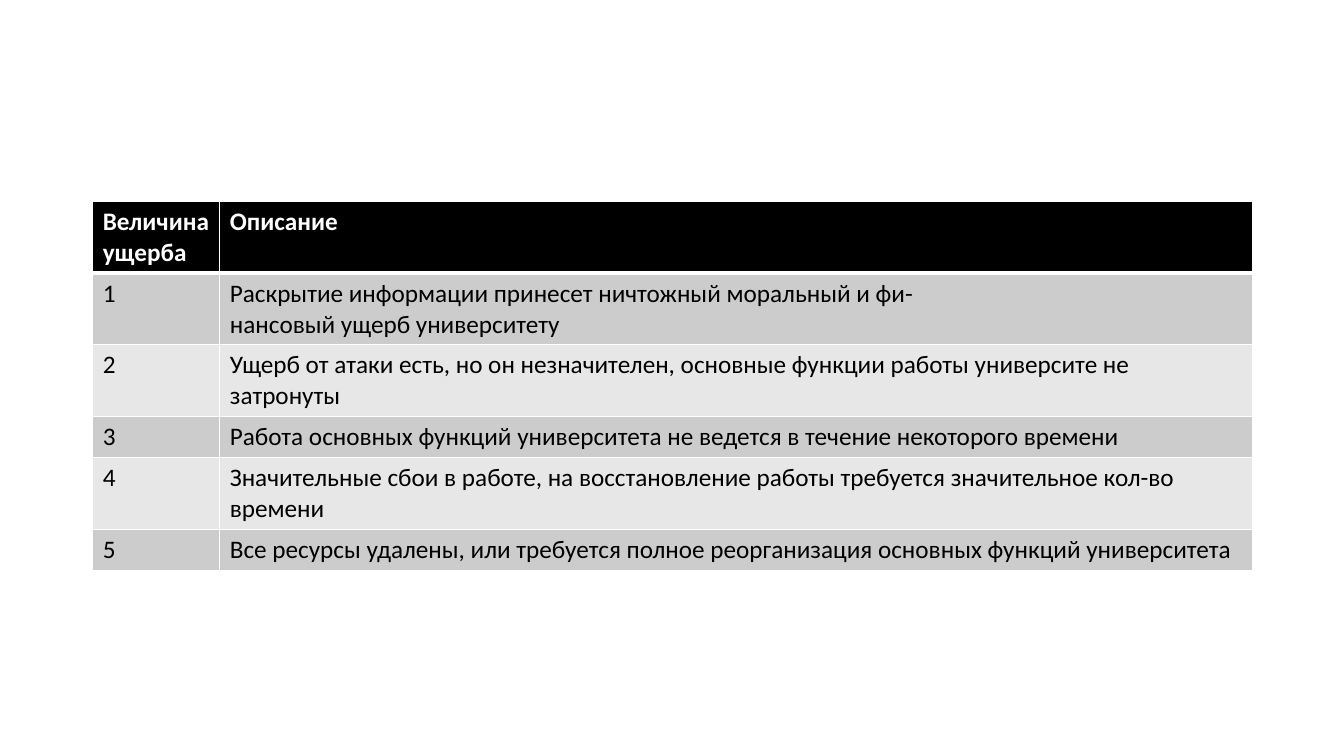
from typing import NamedTuple

from lxml.etree import SubElement
from pptx import Presentation
from pptx.dml.color import RGBColor
from pptx.oxml.ns import qn
from pptx.table import _Cell
from pptx.util import Inches, Pt

COLORS = {
    "header": "000000",
    "odd": "CCCCCC",
    "even": "E7E7E7",
    "white": "FFFFFF",
    "black": "000000",
}
COLUMN_WIDTHS = (1.26, 10.24)
ROW_HEIGHT = 0.41


class DamageLevel(NamedTuple):
    level: str
    description: str


HEADER = DamageLevel("Величина ущерба", "Описание")
LEVELS = [
    DamageLevel("1", "Раскрытие информации принесет ничтожный моральный и фи-\n"
                     "нансовый ущерб университету"),
    DamageLevel("2", "Ущерб от атаки есть, но он незначителен, основные функции "
                     "работы университе не затронуты"),
    DamageLevel("3", "Работа основных функций университета не ведется в течение "
                     "некоторого времени"),
    DamageLevel("4", "Значительные сбои в работе, на восстановление работы требуется "
                     "значительное кол-во времени"),
    DamageLevel("5", "Все ресурсы удалены, или требуется полное реорганизация "
                     "основных функций университета"),
]


def write_text(cell: _Cell, text: str, *, color: str, bold: bool = False,
               size: float = 18, font: str = "Calibri") -> None:
    para = cell.text_frame.paragraphs[0]
    para.text = text  # a newline becomes a line break
    for span in para.runs:
        span.font.name = font
        span.font.size = Pt(size)
        span.font.bold = bold
        span.font.color.rgb = RGBColor.from_string(COLORS[color])


def set_borders(cell: _Cell, *, top: float = 1, bottom: float = 1) -> None:
    properties = cell._tc.get_or_add_tcPr()
    widths = {"lnL": 1, "lnR": 1, "lnT": top, "lnB": bottom}
    for side, width in widths.items():
        line = SubElement(properties, qn(f"a:{side}"), w=str(Pt(width)))
        fill = SubElement(line, qn("a:solidFill"))
        SubElement(fill, qn("a:srgbClr"), val=COLORS["white"])


def fill_cell(cell: _Cell, color: str) -> None:
    cell.fill.solid()
    cell.fill.fore_color.rgb = RGBColor.from_string(COLORS[color])


def main() -> None:
    deck = Presentation()
    deck.slide_width, deck.slide_height = Inches(13.33), Inches(7.5)
    page = deck.slides.add_slide(deck.slide_layouts[6])

    # Table grid
    rows = [HEADER, *LEVELS]
    table = page.shapes.add_table(
        len(rows), len(COLUMN_WIDTHS), Inches(0.92), Inches(2),
        Inches(sum(COLUMN_WIDTHS)), Inches(ROW_HEIGHT * len(rows))).table
    for column, width in zip(table.columns, COLUMN_WIDTHS):
        column.width = Inches(width)

    # Header and banded damage levels
    for row_index, row in enumerate(rows):
        is_header = row_index == 0
        band = "header" if is_header else "odd" if row_index % 2 else "even"
        for column_index, text in enumerate(row):
            cell = table.cell(row_index, column_index)
            write_text(cell, text, color="white" if is_header else "black",
                       bold=is_header)
            set_borders(cell, top=3 if row_index == 1 else 1,
                        bottom=3 if is_header else 1)
            fill_cell(cell, band)

    deck.save("out.pptx")


if __name__ == "__main__":
    main()
